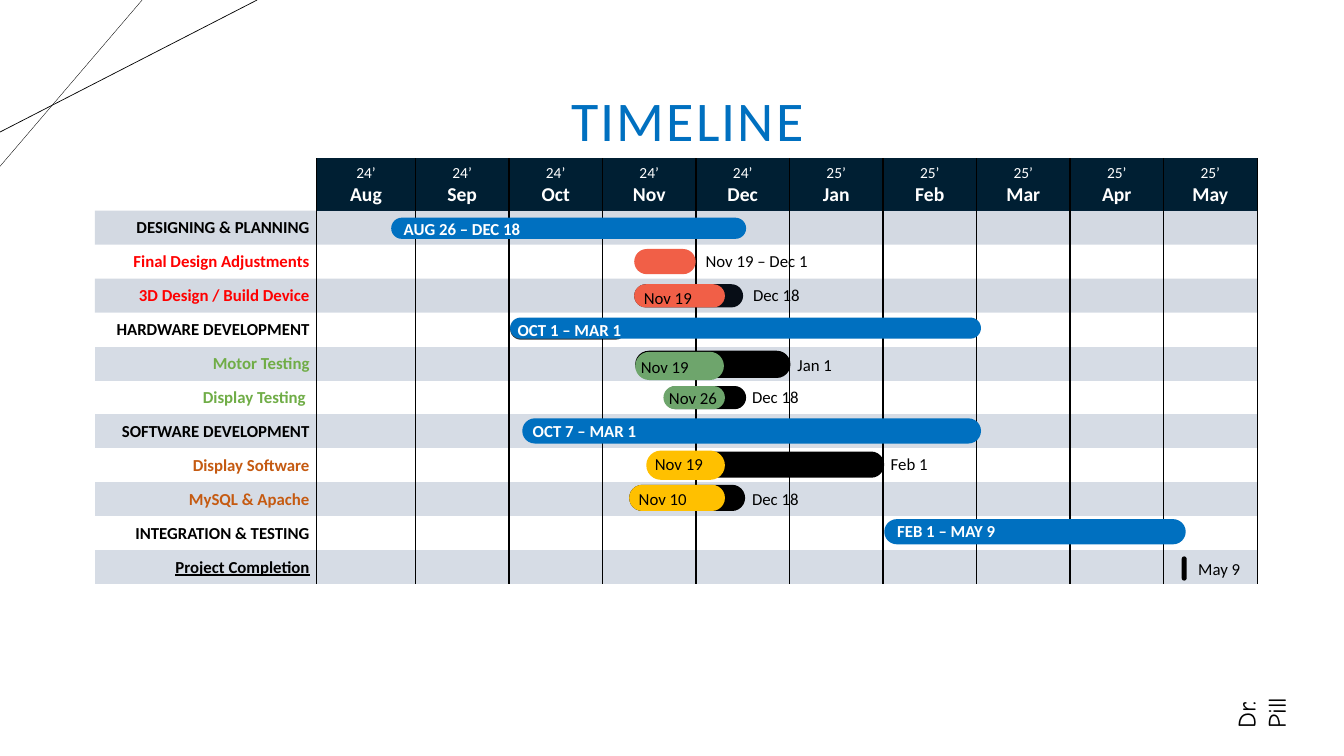
from lxml import etree
from pptx import Presentation
from pptx.dml.color import RGBColor
from pptx.enum.shapes import MSO_CONNECTOR, MSO_SHAPE
from pptx.enum.text import MSO_ANCHOR, MSO_AUTO_SIZE, PP_ALIGN
from pptx.oxml import parse_xml
from pptx.oxml.ns import nsdecls, qn
from pptx.util import Inches, Pt

LINE, ROUND = MSO_CONNECTOR.STRAIGHT, MSO_SHAPE.ROUNDED_RECTANGLE
MIDDLE, BOTTOM = MSO_ANCHOR.MIDDLE, MSO_ANCHOR.BOTTOM
CENTER, RIGHT = PP_ALIGN.CENTER, PP_ALIGN.RIGHT
GROW = MSO_AUTO_SIZE.SHAPE_TO_FIT_TEXT

BLACK = RGBColor(0, 0, 0)
WHITE = RGBColor(255, 255, 255)
BLUE = RGBColor(0x00, 0x70, 0xC0)
NAVY = RGBColor(0x00, 0x1F, 0x33)
SLATE = RGBColor(0x24, 0x44, 0x70)
PALE = RGBColor(0xD6, 0xDC, 0xE5)
RED = RGBColor(0xFF, 0, 0)
LIME = RGBColor(0x70, 0xAD, 0x47)
RUST = RGBColor(0xC5, 0x5A, 0x11)
CORAL = RGBColor(0xF1, 0x5F, 0x47)
GREEN = RGBColor(0x6E, 0xA5, 0x6C)
GOLD = RGBColor(0xFF, 0xC0, 0x00)

FONT = "Calibri"
NO_STYLE = "{2D5ABB26-0587-4C30-8999-92F81FD0307C}"

MONTHS = [("24’", name) for name in ("Aug", "Sep", "Oct", "Nov", "Dec")]
MONTHS += [("25’", name) for name in ("Jan", "Feb", "Mar", "Apr", "May")]

# label, text colour, row fill, fill opacity in percent
TASKS = [
    ("DESIGNING & PLANNING", BLACK, SLATE, 20),
    ("Final Design Adjustments", RED, None, 100),
    ("3D Design / Build Device", RED, SLATE, 20),
    ("HARDWARE DEVELOPMENT", BLACK, WHITE, 20),
    ("Motor Testing", LIME, PALE, 100),
    ("Display Testing ", LIME, WHITE, 100),
    ("SOFTWARE DEVELOPMENT", BLACK, PALE, 100),
    ("Display Software", RUST, WHITE, 100),
    ("MySQL & Apache", RUST, PALE, 100),
    ("INTEGRATION & TESTING", BLACK, WHITE, 100),
    ("Project Completion", BLACK, PALE, 100),
]
LAST = len(TASKS) - 1

# left, top, width, height, colour
BACK_BARS = [
    (6.29, 2.82, 1.08, 0.23, BLACK),
    (5.06, 3.16, 1.15, 0.21, BLACK),
]
BARS = [
    (3.88, 2.16, 3.52, 0.21, BLUE),
    (6.29, 2.47, 0.61, 0.25, CORAL),
    (6.29, 2.82, 0.9, 0.23, CORAL),
    (5.06, 3.15, 4.67, 0.21, BLUE),
    (6.3, 3.48, 1.54, 0.27, BLACK),
    (6.3, 3.49, 0.88, 0.28, GREEN),
    (6.59, 3.83, 0.81, 0.23, BLACK),
    (6.58, 3.83, 0.61, 0.23, GREEN),
    (5.18, 4.15, 4.55, 0.25, BLUE),
    (6.47, 4.48, 2.3, 0.26, BLACK),
    (6.41, 4.47, 0.78, 0.29, GOLD),
    (6.24, 4.81, 1.15, 0.26, BLACK),
    (6.24, 4.81, 0.95, 0.26, GOLD),
    (8.77, 5.15, 2.99, 0.25, BLUE),
    (11.72, 5.52, 0.05, 0.24, BLACK),
]
# text, left, top, width
SPANS = [
    ("AUG 26 – DEC 18", 3.88, 2.17, 1.38),
    ("OCT 1 – MAR 1", 5.02, 3.17, 1.24),
    ("OCT 7 – MAR 1", 5.17, 4.17, 1.24),
    ("FEB 1 – MAY 9", 8.78, 5.17, 1.19),
]
DATES = [
    ("Nov 19 – Dec 1", 6.88, 2.49, 1.23),
    ("Nov 19", 6.24, 2.85, 0.72),
    ("Dec 18", 7.36, 2.82, 0.67),
    ("Nov 19", 6.24, 3.54, 0.69),
    ("Jan 1", 7.76, 3.52, 0.59),
    ("Nov 26", 6.52, 3.85, 0.69),
    ("Dec 18", 7.31, 3.84, 0.71),
    ("Nov 19", 6.38, 4.5, 0.69),
    ("Feb 1", 8.73, 4.5, 0.57),
    ("Nov 10", 6.22, 4.85, 0.69),
    ("Dec 18", 7.31, 4.85, 0.71),
    ("May 9", 11.67, 5.54, 0.73),
]
# start x, end y, line width
RAYS = [(1.41, 1.65, 0.25), (2.55, 1.31, 0.5)]

TABLE = (0.94, 1.57, 11.53, 4.23)
SIDE, FIRST, HEAD = 2.2, 0.98, 0.52


def box(*lengths):
    return [Inches(n) for n in lengths]


def style(par, size, color, bold=False, align=None, font=FONT):
    par.font.name, par.font.size, par.font.bold = font, Pt(size), bold
    par.font.color.rgb = color
    par.alignment = align


def add_bar(slide, left, top, width, height, color):
    bar = slide.shapes.add_shape(ROUND, *box(left, top, width, height))
    bar.adjustments[0] = 0.5
    bar.shadow.inherit = False
    bar.fill.solid()
    bar.fill.fore_color.rgb = color
    bar.line.fill.background()


def add_label(slide, text, left, top, width, color, bold):
    frame = slide.shapes.add_textbox(*box(left, top, width, 0.2)).text_frame
    frame.margin_top = frame.margin_bottom = 0
    frame.vertical_anchor = MIDDLE
    frame.word_wrap = False
    frame.text = text
    style(frame.paragraphs[0], 12, color, bold, RIGHT)


def paint(cell, color, alpha=100):
    """Rule the right edge of a cell, then fill it."""
    props = cell._tc.get_or_add_tcPr()
    props.append(parse_xml(
        f'<a:lnR {nsdecls("a")} w="12700"><a:solidFill><a:srgbClr val="000000">'
        '<a:alpha val="30000"/></a:srgbClr></a:solidFill></a:lnR>'))
    if color is None:
        cell.fill.background()
        return
    cell.fill.solid()
    cell.fill.fore_color.rgb = color
    if alpha < 100:
        tint = props.find(qn("a:solidFill")).find(qn("a:srgbClr"))
        etree.SubElement(tint, qn("a:alpha")).set("val", str(alpha * 1000))


def write(cell, text, anchor):
    cell.margin_left = cell.margin_right = Inches(0.07)
    cell.margin_top = cell.margin_bottom = Inches(0.04)
    cell.vertical_anchor = anchor
    cell.text = text
    return cell.text_frame.paragraphs


def add_grid(slide):
    frame = slide.shapes.add_table(len(TASKS) + 1, len(MONTHS) + 1, *box(*TABLE))
    grid = frame.table
    grid.first_row = grid.horz_banding = False
    grid._tbl.tblPr.find(qn("a:tableStyleId")).text = NO_STYLE

    month = (TABLE[2] - SIDE - FIRST) / (len(MONTHS) - 1)
    for i, col in enumerate(grid.columns):
        col.width = Inches((SIDE, FIRST)[i] if i < 2 else month)
    for i, row in enumerate(grid.rows):
        row.height = Inches((TABLE[3] - HEAD) / len(TASKS) if i else HEAD)

    for cell in grid.iter_cells():
        cell.margin_top = cell.margin_bottom = 0
    paint(grid.cell(0, 0), None)
    for c, (year, name) in enumerate(MONTHS, 1):
        cell = grid.cell(0, c)
        paint(cell, NAVY)
        small, large = write(cell, f"{year}\n{name}", BOTTOM)
        style(small, 11, WHITE, False, CENTER)
        style(large, 14, WHITE, True, CENTER)
    for r, (label, color, fill, alpha) in enumerate(TASKS):
        for c in range(len(MONTHS) + 1):
            paint(grid.cell(r + 1, c), fill, alpha)
        par = write(grid.cell(r + 1, 0), label, MIDDLE)[0]
        style(par, 12, color, True, RIGHT)
        par.font.underline = r == LAST


def main():
    prs = Presentation()
    prs.slide_width, prs.slide_height = box(13.33, 7.5)
    slide = prs.slides.add_slide(prs.slide_layouts[5])

    for x, y, weight in RAYS:
        ray = slide.shapes.add_connector(LINE, *box(x, 0, 0, y))
        ray.line.color.rgb = BLACK
        ray.line.width = Pt(weight)
        etree.SubElement(ray._element.spPr, qn("a:effectLst"))

    title = slide.shapes.title
    title.left, title.top, title.width, title.height = box(3.05, 0.73, 7.54, 0.84)
    title.text_frame.vertical_anchor = BOTTOM
    title.text_frame.text = "TIMELINE"
    par = title.text_frame.paragraphs[0]
    style(par, 40, BLUE, False, CENTER)
    par.line_spacing = 0.9
    par.runs[0].font._element.set("spc", "150")

    for bar in BACK_BARS:
        add_bar(slide, *bar)
    add_grid(slide)
    for bar in BARS:
        add_bar(slide, *bar)
    for span in SPANS:
        add_label(slide, *span, WHITE, True)
    for date in DATES:
        add_label(slide, *date, BLACK, False)

    team = slide.shapes.add_textbox(*box(11.93, 6.7, 0.85, 0.4))
    team.rotation = 270
    team.text_frame.word_wrap = True
    team.text_frame.auto_size = GROW
    team.text_frame.text = "Dr. Pill"
    style(team.text_frame.paragraphs[0], 18, BLACK, font="Comic Neue")

    prs.save("out.pptx")


if __name__ == "__main__":
    main()
